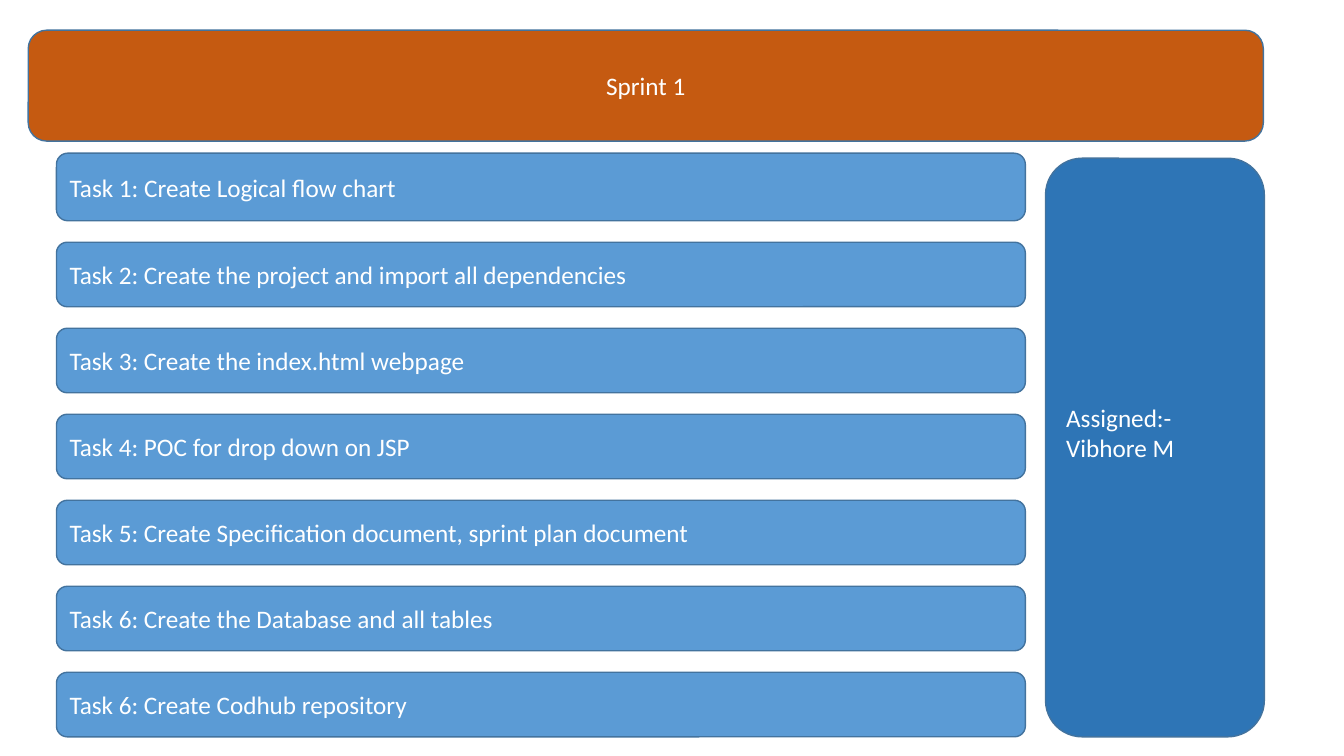
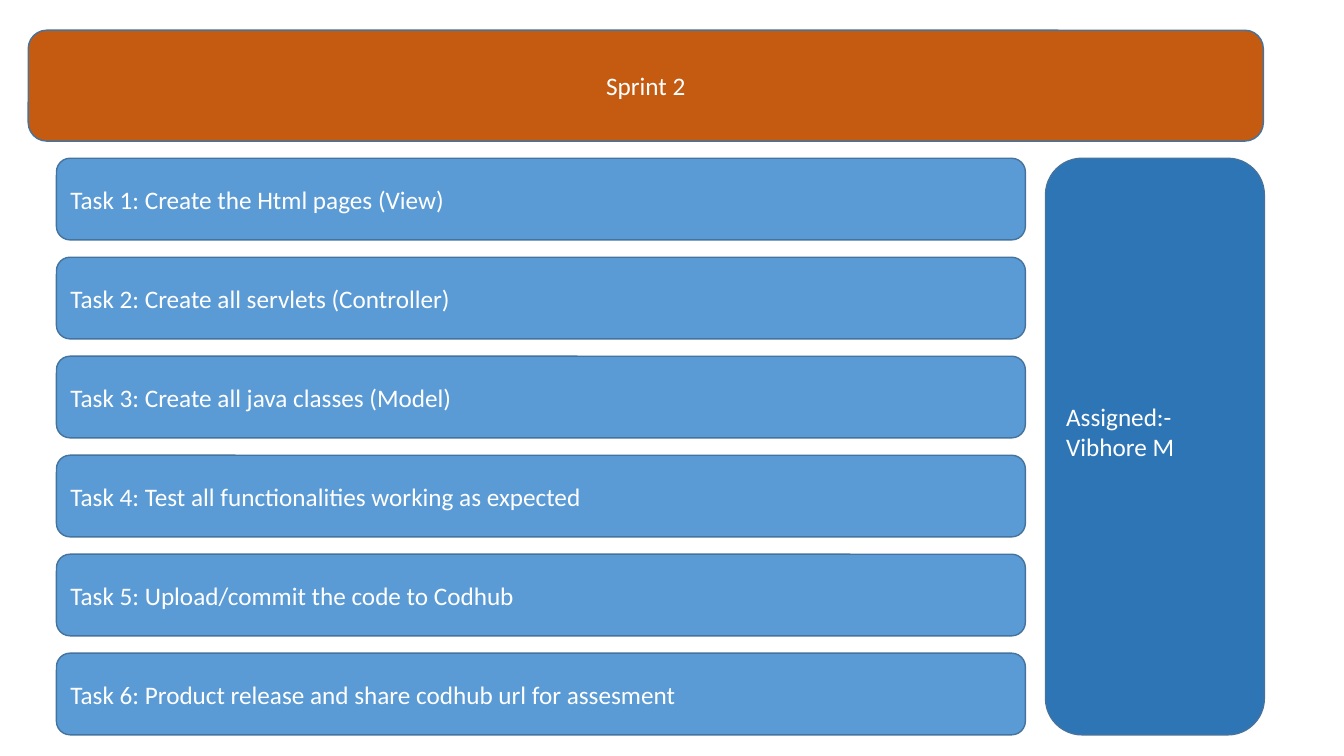
"""Build two sprint plan slides with their tasks and assignee."""
from dataclasses import dataclass

from pptx import Presentation
from pptx.dml.color import RGBColor
from pptx.enum import shapes, text
from pptx.slide import Slide
from pptx.util import Inches, Pt


@dataclass(frozen=True)
class Theme:
    header: str = "C55A11"
    task: str = "5B9BD5"
    assignee: str = "2E75B6"
    outline: str = "43739E"
    ink: str = "FFFFFF"
    font: str = "Calibri"
    size: float = 18
    line: float = 1


@dataclass(frozen=True)
class Area:
    left: float
    top: float
    width: float
    height: float


@dataclass(frozen=True)
class Sprint:
    title: str
    tasks: tuple[str, ...]
    first_top: float
    last_top: float
    task_height: float
    first_extra: float = 0


THEME = Theme()
HEADER = Area(0.28, 0.3, 12.25, 1.1)
TASK_LEFT, TASK_WIDTH = 0.56, 9.61
PANEL_LEFT, PANEL_TOP, PANEL_WIDTH = 10.37, 1.57, 2.17
PANEL_BOTTOM_INSET = 0.35
ASSIGNEE = ("Assigned:-", "Vibhore M")

SPRINTS = (
    Sprint(
        "Sprint 1",
        (
            "Task 1: Create Logical flow chart",
            "Task 2: Create the project and import all dependencies",
            "Task 3: Create the index.html webpage",
            "Task 4: POC for drop down on JSP",
            "Task 5: Create Specification document, sprint plan document",
            "Task 6: Create the Database and all tables",
            "Task 6: Create Codhub repository",
        ),
        first_top=1.55, last_top=6.67, task_height=0.64, first_extra=0.03,
    ),
    Sprint(
        "Sprint 2",
        (
            "Task 1: Create the Html pages (View)",
            "Task 2: Create all servlets (Controller)",
            "Task 3: Create all java classes (Model)",
            "Task 4: Test all functionalities working as expected",
            "Task 5: Upload/commit the code to Codhub",
            "Task 6: Product release and share codhub url for assesment",
        ),
        first_top=1.57, last_top=6.48, task_height=0.81,
    ),
)


def add_box(page: Slide, area: Area, lines: tuple[str, ...], *, fill: str,
            align: text.PP_ALIGN = text.PP_ALIGN.LEFT,
            bottom_inset: float = 0.05) -> None:
    """Draw a rounded box with one paragraph for each line."""
    box = page.shapes.add_shape(
        shapes.MSO_SHAPE.ROUNDED_RECTANGLE,
        Inches(area.left), Inches(area.top), Inches(area.width), Inches(area.height))
    box.shadow.inherit = False
    box.fill.solid()
    box.fill.fore_color.rgb = RGBColor.from_string(fill)
    box.line.color.rgb = RGBColor.from_string(THEME.outline)
    box.line.width = Pt(THEME.line)
    frame = box.text_frame
    frame.word_wrap = True
    frame.vertical_anchor = text.MSO_ANCHOR.MIDDLE
    frame.margin_bottom = Inches(bottom_inset)
    for index, line in enumerate(lines):
        para = frame.add_paragraph() if index else frame.paragraphs[0]
        para.alignment = align
        span = para.add_run()
        span.text = line
        span.font.name = THEME.font
        span.font.size = Pt(THEME.size)
        span.font.color.rgb = RGBColor.from_string(THEME.ink)


def add_sprint(deck: Presentation, sprint: Sprint) -> None:
    """Add one slide with a header, evenly spaced tasks and the assignee."""
    page = deck.slides.add_slide(deck.slide_layouts[6])
    add_box(page, HEADER, (sprint.title,), fill=THEME.header,
            align=text.PP_ALIGN.CENTER)
    pitch = (sprint.last_top - sprint.first_top) / (len(sprint.tasks) - 1)
    for index, task in enumerate(sprint.tasks):
        extra = 0 if index else sprint.first_extra
        area = Area(TASK_LEFT, sprint.first_top + index * pitch - extra,
                    TASK_WIDTH, sprint.task_height + extra)
        add_box(page, area, (task,), fill=THEME.task)
    panel_height = sprint.last_top + sprint.task_height - PANEL_TOP
    add_box(page, Area(PANEL_LEFT, PANEL_TOP, PANEL_WIDTH, panel_height), ASSIGNEE,
            fill=THEME.assignee, bottom_inset=PANEL_BOTTOM_INSET)


def main() -> None:
    """Build and save the deck."""
    deck = Presentation()
    deck.slide_width, deck.slide_height = Inches(13.33), Inches(7.5)
    for sprint in SPRINTS:
        add_sprint(deck, sprint)
    deck.save("out.pptx")


main()
